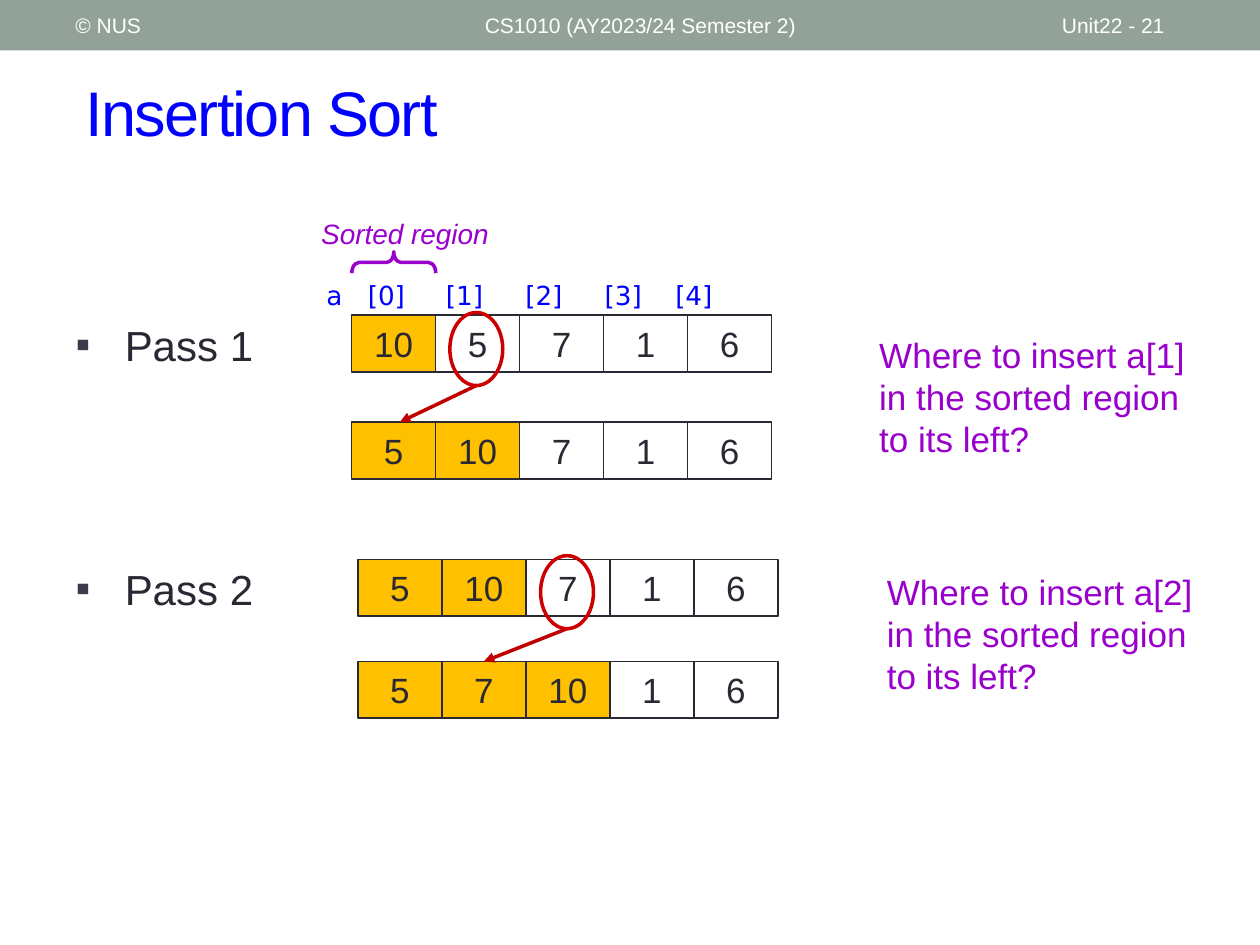
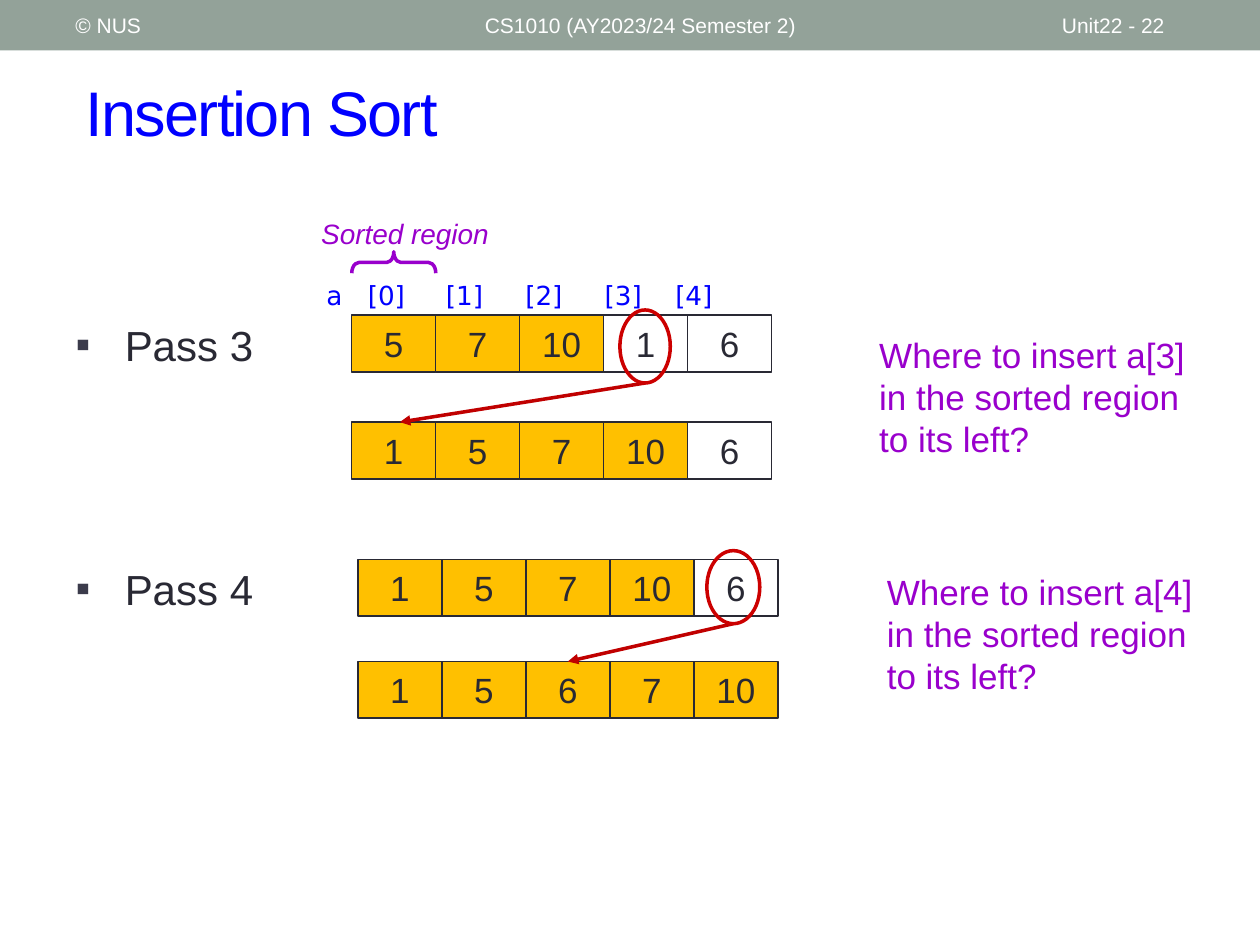
import pptx
import pptx.util
import pptx.dml.color
import pptx.enum.shapes
import pptx.enum.text
import lxml.etree

Inches = pptx.util.Inches
Pt = pptx.util.Pt
Shape = pptx.enum.shapes.MSO_SHAPE
Align = pptx.enum.text.PP_ALIGN
Anchor = pptx.enum.text.MSO_ANCHOR
qn = pptx.oxml.ns.qn

BAND, TITLE, INK, BULLET = "93A299", "0000FF", "292934", "3B3B4B"
SORTED, UNSORTED, PURPLE, RING, ARROW = "FFC000", "FFFFFF", "9900CC", "CC0000", "C00000"
CELL_WIDTH, CELL_HEIGHT = 2 / 3, 0.45


def colour(value):
    return pptx.dml.color.RGBColor.from_string(value)


def write(holder, text, size=20, color=INK, font="Arial", italic=False,
          align=Align.LEFT, anchor=Anchor.MIDDLE, inset=0.1, leading=None,
          gap=0, bullet=None, tabs=()):
    frame = holder.text_frame
    frame.word_wrap = True
    frame.auto_size = pptx.enum.text.MSO_AUTO_SIZE.NONE
    frame.vertical_anchor = anchor
    frame.margin_left = frame.margin_right = Inches(inset)
    frame.margin_top = frame.margin_bottom = Inches(0.05)
    frame.text = text
    for number, paragraph in enumerate(frame.paragraphs):
        paragraph.alignment = align
        paragraph.space_before = Pt(gap if number else 0)
        if leading:
            paragraph.line_spacing = Pt(leading)
        properties = paragraph._p.get_or_add_pPr()
        if bullet:
            properties.set("marL", str(Inches(0.39)))
            properties.set("indent", str(-Inches(0.39)))
            bullet_color = lxml.etree.SubElement(properties, qn("a:buClr"))
            lxml.etree.SubElement(bullet_color, qn("a:srgbClr"), val=BULLET)
            lxml.etree.SubElement(properties, qn("a:buFont"), typeface="Arial")
            lxml.etree.SubElement(properties, qn("a:buChar"), char=bullet)
        if tabs:
            tab_list = lxml.etree.SubElement(properties, qn("a:tabLst"))
            for stop in tabs:
                lxml.etree.SubElement(tab_list, qn("a:tab"), pos=str(Inches(stop)), algn="l")
        for run in paragraph.runs:
            run.font.size = Pt(size)
            run.font.name = font
            run.font.italic = italic
            run.font.color.rgb = colour(color)


lessons = [
    (21, [
        {"number": 1, "before": [10, 5, 7, 1, 6], "after": [5, 10, 7, 1, 6],
         "target": 0, "ring": (3.57, 2.48, 0.42, 0.58)},
        {"number": 2, "before": [5, 10, 7, 1, 6], "after": [5, 7, 10, 1, 6],
         "target": 1, "ring": (4.29, 4.41, 0.42, 0.58)},
    ]),
    (22, [
        {"number": 3, "before": [5, 7, 10, 1, 6], "after": [1, 5, 7, 10, 6],
         "target": 0, "ring": (4.92, 2.46, 0.4, 0.58)},
        {"number": 4, "before": [1, 5, 7, 10, 6], "after": [1, 5, 6, 7, 10],
         "target": 2, "ring": (5.61, 4.37, 0.42, 0.58)},
    ]),
]
places = [
    {"left": 2.79, "before": 2.5, "after": 3.35, "question": (6.88, 2.6)},
    {"left": 2.84, "before": 4.44, "after": 5.25, "question": (6.94, 4.48)},
]

deck = pptx.Presentation()
deck.slide_width, deck.slide_height = Inches(10), Inches(7.5)

for page, passes in lessons:
    slide = deck.slides.add_slide(deck.slide_layouts[1])
    shapes = slide.shapes

    band = shapes.add_shape(Shape.RECTANGLE, 0, 0, Inches(10), Inches(0.4))
    band.shadow.inherit = False
    band.fill.solid()
    band.fill.fore_color.rgb = colour(BAND)
    band.line.fill.background()
    for left, width, words in [(0.5, 3.17, "© NUS"),
                               (3.75, 4.5, "CS1010 (AY2023/24 Semester 2)"),
                               (8.33, 1.17, f"Unit22 - {page}")]:
        header = shapes.add_textbox(Inches(left), Inches(0.02), Inches(width), Inches(0.36))
        write(header, words, size=12, color="FFFFFF")

    heading = shapes.title
    heading.left, heading.top = Inches(0.58), Inches(0.42)
    heading.width, heading.height = Inches(9.17), Inches(0.92)
    write(heading, "Insertion Sort", size=36, color=TITLE)
    heading.text_frame.paragraphs[0].runs[0].font._element.set("spc", "-100")

    pass_list = slide.placeholders[1]
    pass_list.left, pass_list.top = Inches(0.5), Inches(2.48)
    pass_list.width, pass_list.height = Inches(9.17), Inches(5)
    write(pass_list, "\n".join(f"Pass {step['number']}" for step in passes), size=24,
          anchor=Anchor.TOP, leading=29, gap=110.5, bullet="▪")

    region = shapes.add_textbox(Inches(2.38), Inches(1.67), Inches(1.67), Inches(0.37))
    write(region, "Sorted region", size=16, color=PURPLE, italic=True, align=Align.CENTER)
    indexes = shapes.add_textbox(Inches(2.51), Inches(2.17), Inches(3.67), Inches(0.35))
    write(indexes, "a\t[0]\t[1]\t[2]\t[3]\t[4]", size=15, color=TITLE, font="DejaVu Sans",
          inset=0.08, tabs=(0.33, 0.95, 1.58, 2.21, 2.77))

    outlines = [(Shape.LEFT_BRACE, (3.04, 1.75, 0.17, CELL_WIDTH), PURPLE, 90)]
    for step, place in zip(passes, places):
        outlines.append((Shape.OVAL, step["ring"], RING, 0))
        for stage, sorted_count in [("before", step["number"]), ("after", step["number"] + 1)]:
            for index, value in enumerate(step[stage]):
                cell = shapes.add_shape(
                    Shape.RECTANGLE, Inches(place["left"] + index * CELL_WIDTH),
                    Inches(place[stage]), Inches(CELL_WIDTH), Inches(CELL_HEIGHT))
                cell.shadow.inherit = False
                cell.fill.solid()
                cell.fill.fore_color.rgb = colour(SORTED if index < sorted_count else UNSORTED)
                cell.line.color.rgb = colour(INK)
                cell.line.width = Pt(1)
                write(cell, str(value), align=Align.CENTER)

        left, top = place["question"]
        question = shapes.add_textbox(Inches(left), Inches(top), Inches(2.67), Inches(1.1))
        write(question, f"Where to insert a[{step['number']}] in the sorted region to its left?",
              color=PURPLE, anchor=Anchor.TOP, leading=24)

        ring_left, ring_top, ring_width, ring_height = step["ring"]
        arrow = shapes.add_connector(
            pptx.enum.shapes.MSO_CONNECTOR.STRAIGHT,
            Inches(ring_left + ring_width / 2), Inches(ring_top + ring_height),
            Inches(2.84 + (step["target"] + 0.5) * CELL_WIDTH), Inches(place["after"]))
        arrow.line.color.rgb = colour(ARROW)
        arrow.line.width = Pt(2)
        lxml.etree.SubElement(arrow.line._get_or_add_ln(), qn("a:tailEnd"), type="triangle")
        lxml.etree.SubElement(arrow._element.spPr, qn("a:effectLst"))

    for kind, box, color, turn in outlines:
        outline = shapes.add_shape(kind, *map(Inches, box))
        outline.shadow.inherit = False
        outline.fill.background()
        outline.line.color.rgb = colour(color)
        outline.line.width = Pt(2)
        outline.rotation = turn
        if kind == Shape.LEFT_BRACE:
            outline.adjustments[0] = 0.333

deck.save("out.pptx")
